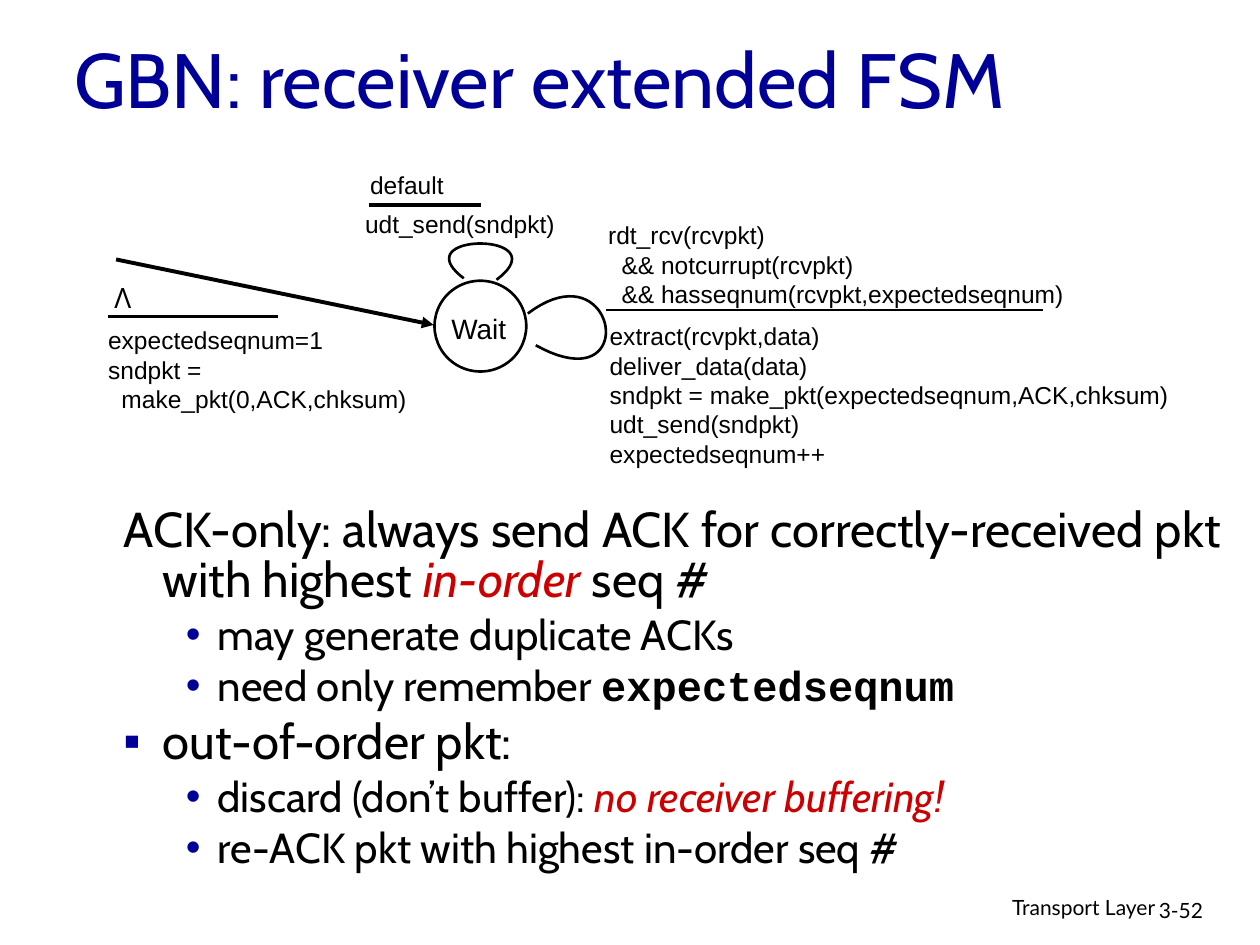
from lxml import etree
from pptx import Presentation
from pptx import util as u
from pptx.dml.color import RGBColor
from pptx.enum import shapes, text
from pptx.oxml.ns import qn

BLACK = RGBColor(0x00, 0x00, 0x00)
WHITE = RGBColor(0xFF, 0xFF, 0xFF)
NAVY = RGBColor(0x00, 0x00, 0x99)
RED = RGBColor(0xCC, 0x00, 0x00)
CURVE_STEPS = 40
CODE_INDENT = 0.27


class SlideBuilder:
    heading_font = "Cabin"
    code_font = "Arial"
    footer_font = "Lato"

    def __init__(self, presentation):
        self.slide = presentation.slides.add_slide(presentation.slide_layouts[5])

    def run(self, paragraph, words, font, size, color=BLACK, italic=False, bold=False):
        run = paragraph.add_run()
        run.text = words
        run.font.name = font
        run.font.size = u.Pt(size)
        run.font.color.rgb = color
        run.font.italic = italic
        run.font.bold = bold

    def indent(self, paragraph, left, first=0):
        properties = paragraph._p.get_or_add_pPr()
        properties.set("marL", str(u.Cm(left)))
        properties.set("indent", str(u.Cm(first)))

    def bullet(self, paragraph, character):
        properties = paragraph._p.get_or_add_pPr()
        color = etree.SubElement(properties, qn("a:buClr"))
        etree.SubElement(color, qn("a:srgbClr")).set("val", str(NAVY))
        etree.SubElement(properties, qn("a:buFont")).set("typeface", "Arial")
        etree.SubElement(properties, qn("a:buChar")).set("char", character)

    def title(self, words, left, top, width, height):
        shape = self.slide.shapes.title
        shape.left, shape.top = u.Cm(left), u.Cm(top)
        shape.width, shape.height = u.Cm(width), u.Cm(height)
        frame = shape.text_frame
        frame.auto_size = text.MSO_AUTO_SIZE.NONE
        frame.vertical_anchor = text.MSO_ANCHOR.MIDDLE
        paragraph = frame.paragraphs[0]
        paragraph.alignment = text.PP_ALIGN.LEFT
        self.run(paragraph, words, self.heading_font, 44, NAVY)

    def box(self, left, top, width, height, count=1, align=text.PP_ALIGN.LEFT):
        shape = self.slide.shapes.add_textbox(
            u.Cm(left), u.Cm(top), u.Cm(width), u.Cm(height))
        frame = shape.text_frame
        frame.word_wrap = True
        for _ in range(count - 1):
            frame.add_paragraph()
        for paragraph in frame.paragraphs:
            paragraph.alignment = align
        return frame.paragraphs

    def code(self, place, *lines):
        for paragraph, (words, left) in zip(self.box(*place, len(lines)), lines):
            self.indent(paragraph, left)
            self.run(paragraph, words, self.code_font, 14)

    def label(self, place, words, font, size, align):
        paragraph = self.box(*place, align=align)[0]
        self.run(paragraph, words, font, size)

    def outline(self, place, items):
        for paragraph, (level, mark, before, runs) in zip(self.box(*place, len(items)), items):
            paragraph.level = level
            paragraph.line_spacing = 0.85
            paragraph.space_before = u.Pt(before)
            self.indent(paragraph, *((1.9, -0.64) if level else (0.79, -0.79)))
            if mark:
                self.bullet(paragraph, mark)
            for words, style in runs:
                settings = {"font": self.heading_font, "size": 24 if level else 28, **style}
                self.run(paragraph, words, **settings)

    def state(self, left, top, width, height):
        shape = self.slide.shapes.add_shape(
            shapes.MSO_SHAPE.OVAL, u.Cm(left), u.Cm(top), u.Cm(width), u.Cm(height))
        shape.shadow.inherit = False
        shape.fill.solid()
        shape.fill.fore_color.rgb = WHITE
        shape.line.color.rgb = BLACK
        shape.line.width = u.Pt(1.5)

    def line(self, start, end, width=2.25, arrow=False):
        connector = self.slide.shapes.add_connector(
            shapes.MSO_CONNECTOR.STRAIGHT, *map(u.Cm, start + end))
        connector.line.color.rgb = BLACK
        connector.line.width = u.Pt(width)
        if arrow:
            outline = connector.line._get_or_add_ln()
            etree.SubElement(outline, qn("a:tailEnd")).set("type", "triangle")
        etree.SubElement(connector._element.spPr, qn("a:effectLst"))

    def loop(self, *controls):
        points = []
        for step in range(CURVE_STEPS + 1):
            t = step / CURVE_STEPS
            weights = ((1 - t) ** 3, 3 * t * (1 - t) ** 2, 3 * t ** 2 * (1 - t), t ** 3)
            points.append(tuple(
                u.Cm(sum(w * c for w, c in zip(weights, axis))) for axis in zip(*controls)))
        builder = self.slide.shapes.build_freeform(*points[0])
        builder.add_line_segments(points[1:], close=False)
        shape = builder.convert_to_shape()
        shape.shadow.inherit = False
        shape.fill.background()
        shape.line.color.rgb = BLACK
        shape.line.width = u.Pt(1.5)


def main():
    presentation = Presentation()
    presentation.slide_width, presentation.slide_height = u.Cm(25.4), u.Cm(19.05)
    page = SlideBuilder(presentation)
    center, right = text.PP_ALIGN.CENTER, text.PP_ALIGN.RIGHT
    emphasis = {"color": RED, "italic": True}
    variable = {"font": "Courier New", "bold": True}

    page.title("GBN: receiver extended FSM", 1.24, 0.58, 21.59, 1.96)

    page.state(8.76, 5.66, 1.85, 1.83)
    page.label((8.53, 6.15, 2.24, 0.66), "Wait", page.code_font, 16, center)

    page.line((2.34, 5.23), (8.74, 6.55), arrow=True)
    page.label((2.03, 5.54, 0.89, 0.94), "Λ", "Open Sans", 16, center)
    page.line((2.18, 6.38), (5.61, 6.38))
    page.code((1.93, 6.43, 10.11, 2.72),
              ("expectedseqnum=1", 0),
              ("sndpkt =", 0),
              ("make_pkt(0,ACK,chksum)", CODE_INDENT))

    page.loop((9.35, 5.61), (8.1, 4.67), (11.3, 4.67), (10.01, 5.64))
    page.code((7.21, 3.3, 2.3, 0.69), ("default", 0))
    page.line((7.44, 4.14), (9.7, 4.14))
    page.code((7.11, 4.09, 4.5, 0.86), ("udt_send(sndpkt)", 0))

    page.loop((10.8, 6.96), (12.95, 8.15), (12.45, 4.95), (10.64, 6.32))
    page.code((12.01, 4.32, 9.91, 1.57),
              ("rdt_rcv(rcvpkt)", 0),
              ("&& notcurrupt(rcvpkt)", CODE_INDENT),
              ("&& hasseqnum(rcvpkt,expectedseqnum)", CODE_INDENT))
    page.line((12.22, 6.25), (21.03, 6.25), width=1.5)
    page.code((12.04, 6.35, 11.99, 2.39),
              ("extract(rcvpkt,data)", 0),
              ("deliver_data(data)", 0),
              ("sndpkt = make_pkt(expectedseqnum,ACK,chksum)", 0),
              ("udt_send(sndpkt)", 0),
              ("expectedseqnum++", 0))

    page.outline((2.24, 10.11, 22.63, 7.92), [
        (0, None, 0, [
            ("ACK-only: always send ACK for correctly-received pkt with highest ", {}),
            ("in-order", emphasis), (" seq #", {})]),
        (1, "•", 4.8, [("may generate duplicate ACKs", {})]),
        (1, "•", 4.8, [("need only remember ", {}), ("expectedseqnum", variable)]),
        (0, "▪", 5.6, [("out-of-order pkt:", {})]),
        (1, "•", 4.8, [("discard (don’t buffer): ", {}),
                       ("no receiver buffering!", emphasis)]),
        (1, "•", 4.8, [("re-ACK pkt with highest in-order seq #", {})]),
    ])

    page.label((15.49, 17.91, 8.05, 0.79), "Transport Layer", page.footer_font, 12, right)
    page.label((23.11, 17.96, 1.88, 0.76), "3-52", page.footer_font, 12, text.PP_ALIGN.LEFT)
    presentation.save("out.pptx")


if __name__ == "__main__":
    main()
